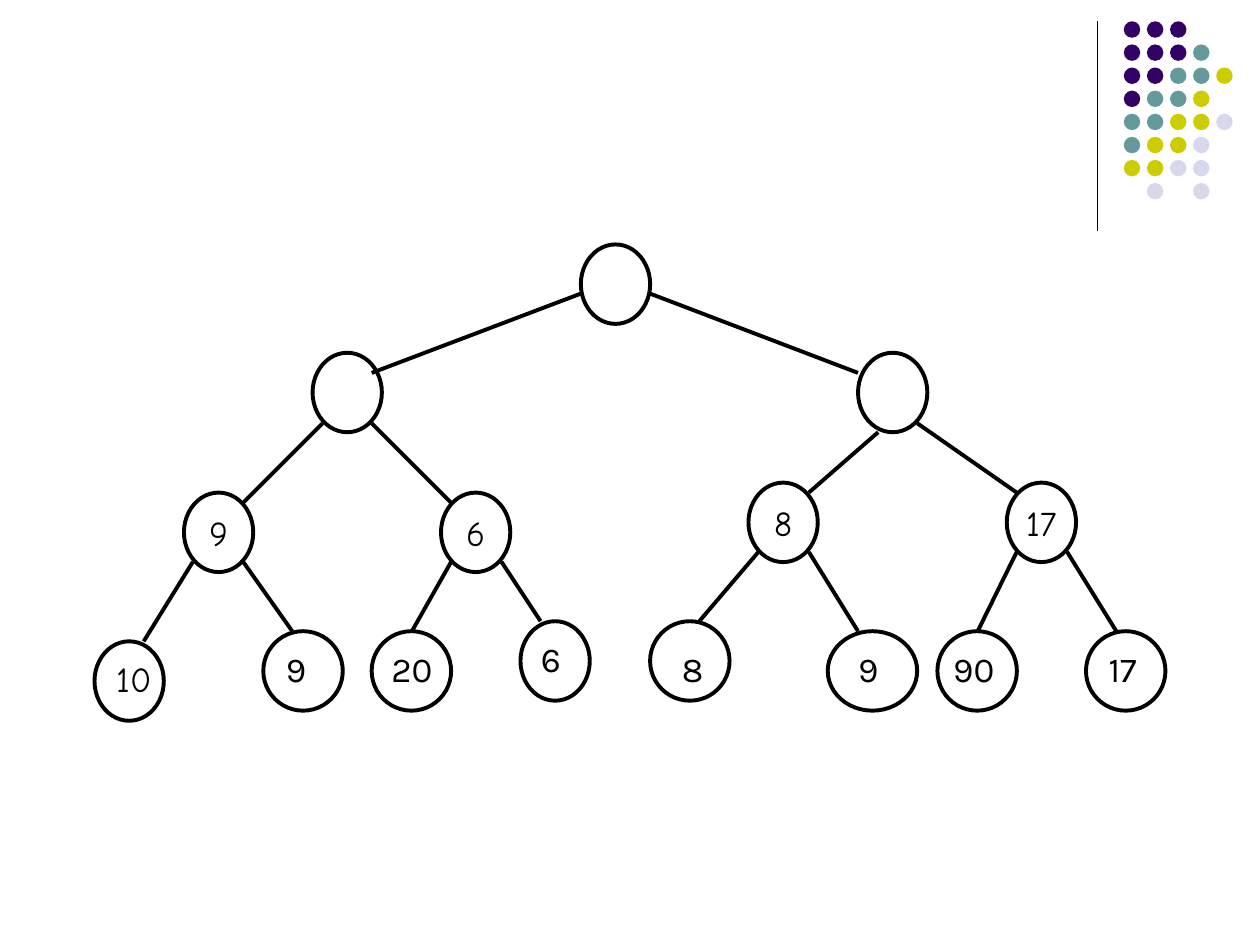
from lxml.etree import SubElement
from pptx import Presentation
from pptx.dml.color import RGBColor
from pptx.enum.shapes import MSO_CONNECTOR as Connector, MSO_SHAPE as Shape
from pptx.enum.text import MSO_ANCHOR as Anchor, PP_ALIGN as Align
from pptx.oxml.ns import qn
from pptx.util import Pt

COLORS = {
    "ink": "000000", "paper": "FFFFFF", "purple": "330066",
    "teal": "669999", "olive": "CCCC00", "lavender": "D8D8EC",
}
NODE_FONT, LABEL_FONT = "Comic Neue", "Karla"

# Corner ornament: one letter per dot
DOT_ROWS = ["ppp", "pppt", "pptto", "ptto", "ttool", "tool", "ooll", " l l"]
DOT_COLORS = {"p": "purple", "t": "teal", "o": "olive", "l": "lavender"}
DOT_LEFT, DOT_TOP, DOT_STEP, DOT_SIZE = 642.2, 12.2, 13.2, 9.4

# Tree nodes: left, top, width, text
NODE_HEIGHT = 45.4
NODES = [
    (331.9, 139.7, 39.6, ""),
    (178.6, 201.6, 39.6, ""), (490.3, 201.6, 39.6, ""),
    (105.1, 281.5, 39.6, "9"), (252, 281.5, 39.6, "6"),
    (427.7, 275.8, 39.6, "8"), (575.3, 275.8, 39.6, "17"),
    (54, 366.5, 39.6, ""), (150.5, 360.7, 45.4, ""),
    (212.4, 360.7, 45.4, ""), (297.4, 355, 39.6, ""),
    (371.5, 355, 45.4, ""), (473, 360.7, 51.1, ""),
    (535.7, 360.7, 45.4, ""), (620.6, 360.7, 45.4, ""),
]

# Tree edges: parent x, y, child x, y
EDGES = [
    (331.9, 167.8, 212.4, 213.1), (371.5, 167.8, 490.3, 213.1),
    (184.3, 241.9, 139, 287.3), (212.4, 241.9, 257.8, 287.3),
    (501.8, 247, 462.2, 281.5), (524.2, 241.9, 581, 281.5),
    (110.2, 321.1, 82.1, 366.5), (139, 321.1, 167, 360.7),
    (257.8, 321.1, 235.4, 360.7), (286.6, 321.1, 308.9, 355),
    (433.4, 315.4, 399.6, 355), (462.2, 315.4, 490.3, 360.7),
    (581, 315.4, 558.7, 360.7), (609.8, 315.4, 637.9, 360.7),
]

# Leaf labels: left, top, width, text, font
LABELS = [
    (42.5, 372.2, 51.1, "10", NODE_FONT),
    (144.7, 366.5, 37.4, "9", LABEL_FONT),
    (201.6, 366.5, 52.6, "20", LABEL_FONT),
    (275, 360.7, 52.6, "6", LABEL_FONT),
    (348.5, 366.5, 60.5, "8", LABEL_FONT),
    (456.5, 366.5, 52.6, "9", LABEL_FONT),
    (529.9, 366.5, 45.4, "90", LABEL_FONT),
    (581, 366.5, 75.6, "17", LABEL_FONT),
]


def color(name):
    return RGBColor.from_string(COLORS[name])


def write(shape, text, font, align):
    para = shape.text_frame.paragraphs[0]
    para.text = text
    para.alignment = align
    para.font.name = font
    para.font.size = Pt(20)
    para.font.color.rgb = color("ink")


def add_ellipse(page, left, top, width, height, fill):
    ellipse = page.shapes.add_shape(
        Shape.OVAL, Pt(left), Pt(top), Pt(width), Pt(height))
    ellipse.shadow.inherit = False
    ellipse.fill.solid()
    ellipse.fill.fore_color.rgb = color(fill)
    ellipse.line.fill.background()
    return ellipse


def add_node(page, left, top, width, text):
    node = add_ellipse(page, left, top, width, NODE_HEIGHT, "paper")
    node.line.color.rgb = color("ink")
    node.line.width = Pt(2.25)
    if text:
        node.text_frame.word_wrap = False
        node.text_frame.vertical_anchor = Anchor.MIDDLE
        write(node, text, NODE_FONT, Align.CENTER)


def add_line(page, x1, y1, x2, y2, width):
    line = page.shapes.add_connector(
        Connector.STRAIGHT, Pt(x1), Pt(y1), Pt(x2), Pt(y2))
    line.line.color.rgb = color("ink")
    line.line.width = Pt(width)
    SubElement(line._element.spPr, qn("a:effectLst"))


def add_label(page, left, top, width, text, font):
    box = page.shapes.add_textbox(Pt(left), Pt(top), Pt(width), Pt(31.7))
    box.text_frame.word_wrap = True
    write(box, text, font, Align.RIGHT)


def add_ornament(page):
    add_line(page, 627.1, 12.2, 627.1, 131.8, 0.75)
    for row, letters in enumerate(DOT_ROWS):
        for column, letter in enumerate(letters):
            if letter in DOT_COLORS:
                add_ellipse(page, DOT_LEFT + column * DOT_STEP,
                            DOT_TOP + row * DOT_STEP,
                            DOT_SIZE, DOT_SIZE, DOT_COLORS[letter])


def main():
    deck = Presentation()
    deck.slide_width, deck.slide_height = Pt(720), Pt(540)
    page = deck.slides.add_slide(deck.slide_layouts[6])
    add_ornament(page)
    for node in NODES:
        add_node(page, *node)
    for edge in EDGES:
        add_line(page, *edge, 2.25)
    for label in LABELS:
        add_label(page, *label)
    deck.save("out.pptx")


if __name__ == "__main__":
    main()
